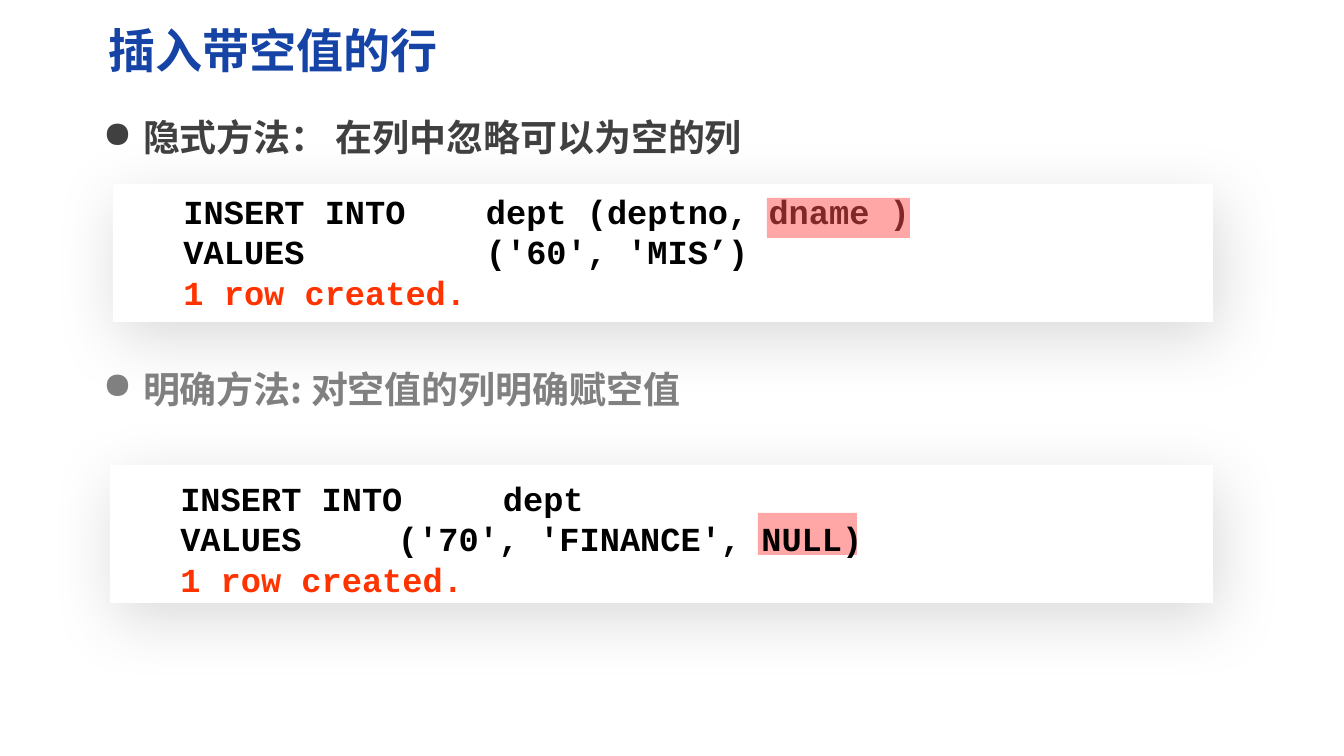
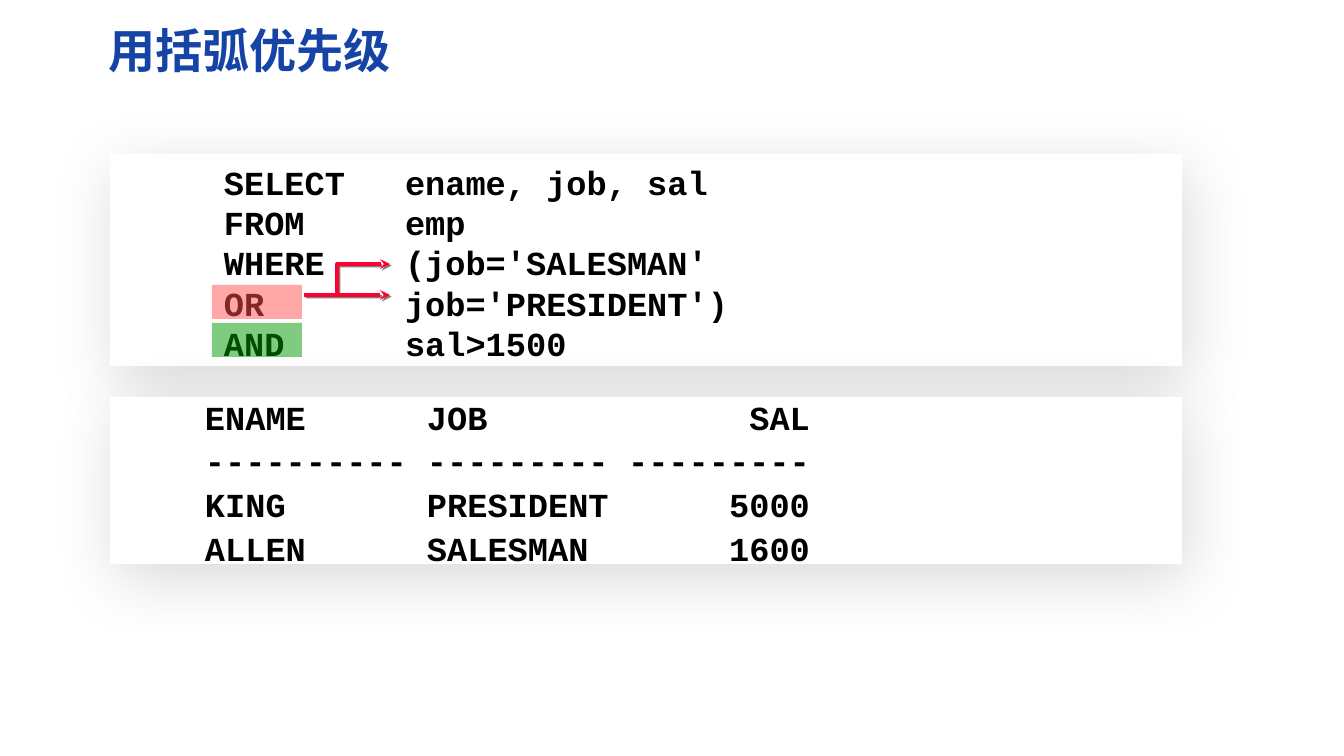
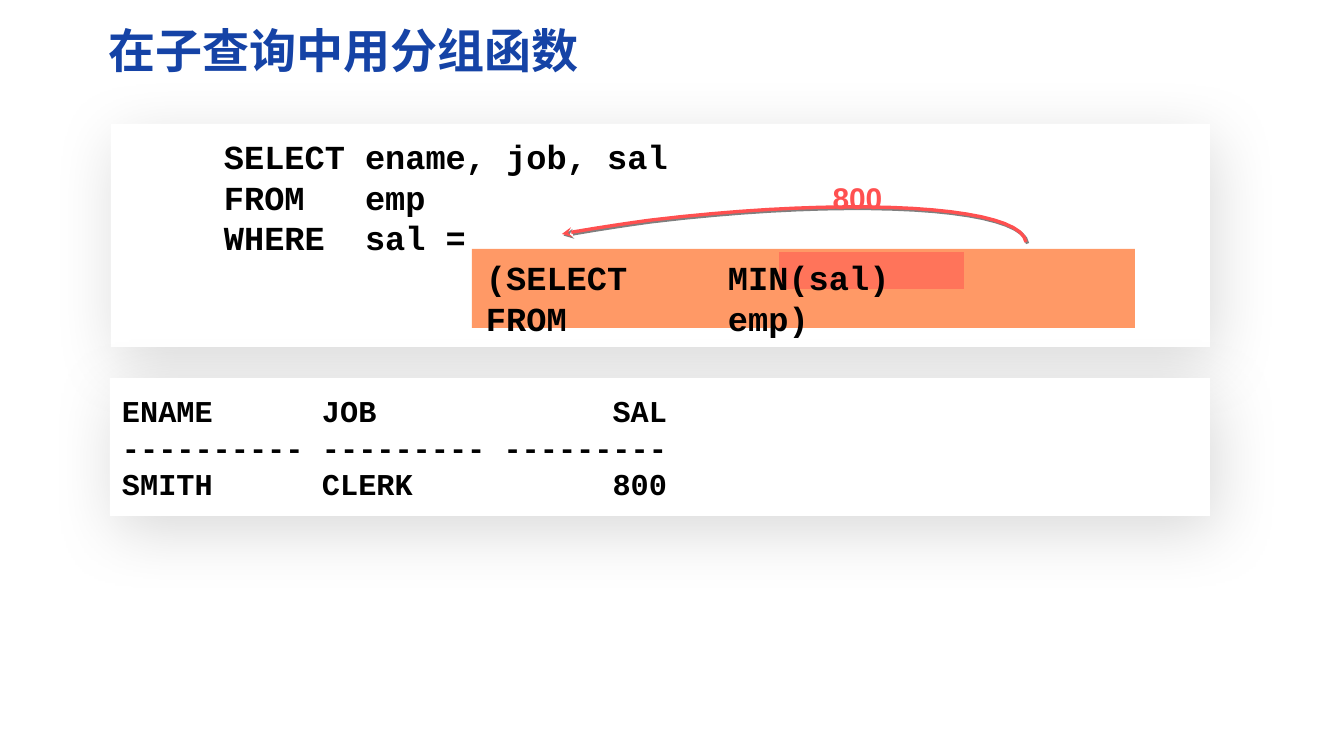
from lxml import etree
from pptx import Presentation
from pptx import util as u
from pptx.dml.color import RGBColor
from pptx.enum import shapes, text
from pptx.oxml import ns

EMU_PER_PX = 7557
COLORS = {
    "title": "1543A6", "body": "404040", "muted": "808080", "code": "000000",
    "result": "FF3300", "card": "FFFFFF", "red": "FF5050", "green": "009900",
    "orange": "FF9966", "arrow": "FF0033", "shadow": "000000",
}
HEADING_FONT, CODE_FONT, LABEL_FONT = "Noto Sans CJK SC", "Courier New", "Arial"
CARD_SHADOW = (15, 40, 10, 70)
ARROW_SHADOW = (50, 0, 1.4, 45)
TEXT_INSETS = (13, 7, 13, 7)
CARD_INSETS = (12, 6, 12, 6)


def px(value):
    return u.Emu(round(value * EMU_PER_PX))


def rgb(name):
    return RGBColor.from_string(COLORS[name])


def add_xml(parent, tag, **attributes):
    return etree.SubElement(parent, ns.qn(tag), {key: str(value) for key, value in attributes.items()})


def bezier(start, first, second, end, steps=20):
    for step in range(1, steps + 1):
        t = step / steps
        weights = ((1 - t) ** 3, 3 * t * (1 - t) ** 2, 3 * t * t * (1 - t), t ** 3)
        yield tuple(sum(w * point[axis] for w, point in zip(weights, (start, first, second, end)))
                    for axis in (0, 1))


class Slides:
    def __init__(self):
        self.deck = Presentation()
        self.deck.slide_width, self.deck.slide_height = px(1344), px(756)
        self.page = None

    def new_page(self, title):
        self.page = self.deck.slides.add_slide(self.deck.slide_layouts[5])
        box = self.page.shapes.title
        box.left, box.top, box.width, box.height = map(px, (96, 15, 1187, 69))
        self.frame(box)
        self.fill_text(box, [(title, "title")], HEADING_FONT, 28)

    def frame(self, box, insets=TEXT_INSETS, anchor=text.MSO_ANCHOR.MIDDLE):
        frame = box.text_frame
        frame.word_wrap = True
        frame.auto_size = text.MSO_AUTO_SIZE.NONE
        frame.vertical_anchor = anchor
        frame.margin_left, frame.margin_top, frame.margin_right, frame.margin_bottom = map(px, insets)

    def fill_text(self, box, lines, font, size, tabs=(), align=text.PP_ALIGN.LEFT):
        for index, (words, color) in enumerate(lines):
            para = box.text_frame.paragraphs[0] if index == 0 else box.text_frame.add_paragraph()
            para.alignment = align
            if tabs:
                stops = add_xml(para._p.get_or_add_pPr(), "a:tabLst")
                for position, side in tabs:
                    add_xml(stops, "a:tab", pos=px(position), algn=side)
            span = para.add_run()
            span.text = words
            span.font.name, span.font.size, span.font.bold = font, u.Pt(size), True
            span.font.color.rgb = rgb(color)
            add_xml(span._r.get_or_add_rPr(), "a:ea", typeface=font)

    def text_box(self, *place):
        return self.page.shapes.add_textbox(*map(px, place))

    def bullets(self, place, lines, gap):
        box = self.text_box(*place)
        self.frame(box, CARD_INSETS, text.MSO_ANCHOR.TOP)
        self.fill_text(box, lines, HEADING_FONT, 22)
        for index, para in enumerate(box.text_frame.paragraphs):
            properties = para._p.get_or_add_pPr()
            properties.set("marL", str(px(40)))
            properties.set("indent", str(px(-40)))
            add_xml(properties, "a:buChar", char="●")
            if index:
                para.space_before = u.Pt(gap)

    def code(self, place, lines, tabs, result=None):
        box = self.text_box(*place)
        self.frame(box)
        rows = [(line, "code") for line in lines]
        if result:
            rows.append((result, "result"))
        self.fill_text(box, rows, CODE_FONT, 20, [(stop, "l") for stop in tabs])

    def label(self, place, words, color):
        box = self.text_box(*place)
        self.frame(box, (0, 0, 0, 0))
        self.fill_text(box, [(words, color)], LABEL_FONT, 17.8, align=text.PP_ALIGN.CENTER)

    def effects(self, shape, shadow=None):
        effects = add_xml(shape._element.spPr, "a:effectLst")
        if shadow:
            opacity, blur, distance, angle = shadow
            outer = add_xml(effects, "a:outerShdw", blurRad=u.Pt(blur), dist=u.Pt(distance),
                            dir=angle * 60000, algn="tl", rotWithShape=0)
            tint = add_xml(outer, "a:srgbClr", val=COLORS["shadow"])
            add_xml(tint, "a:alpha", val=opacity * 1000)

    def block(self, place, color, opacity=100, shadow=None):
        shape = self.page.shapes.add_shape(shapes.MSO_SHAPE.RECTANGLE, *map(px, place))
        shape.fill.solid()
        shape.fill.fore_color.rgb = rgb(color)
        shape.line.fill.background()
        if opacity < 100:
            tint = shape._element.spPr.find(".//" + ns.qn("a:srgbClr"))
            add_xml(tint, "a:alpha", val=opacity * 1000)
        self.effects(shape, shadow)
        return shape

    def card(self, *place):
        return self.block(place, "card", shadow=CARD_SHADOW)

    def highlight(self, place, color="red"):
        self.block(place, color, opacity=50)

    def listing(self, place, rows, size, tabs, indent=0, spacing=None):
        box = self.card(*place)
        left, *others = CARD_INSETS
        self.frame(box, (left + indent, *others))
        self.fill_text(box, [("\t".join(row), "code") for row in rows], CODE_FONT, size,
                       list(zip(tabs, "lr")))
        if spacing:
            for para in box.text_frame.paragraphs:
                para.line_spacing = u.Pt(spacing)

    def finish_arrow(self, shape, color):
        shape.line.color.rgb = rgb(color)
        shape.line.width = u.Pt(2)
        add_xml(shape._element.spPr.get_or_add_ln(), "a:tailEnd", type="stealth")
        self.effects(shape, ARROW_SHADOW)

    def arrow(self, start, end, color):
        line = self.page.shapes.add_connector(shapes.MSO_CONNECTOR.STRAIGHT, *map(px, start + end))
        self.finish_arrow(line, color)

    def bent_arrow(self, points, color):
        start, *rest = [tuple(map(px, point)) for point in points]
        builder = self.page.shapes.build_freeform(*start)
        builder.add_line_segments(rest, close=False)
        shape = builder.convert_to_shape()
        shape.fill.background()
        self.finish_arrow(shape, color)


HEADER = ("ENAME", "JOB", "SAL")
RULE = ("-" * 10, "-" * 9, "-" * 9)


def null_rows(slides):
    slides.new_page("插入带空值的行")
    slides.card(113, 184, 1100, 138)
    slides.card(110, 465, 1103, 138)
    slides.bullets((91, 109, 1191, 330), [
        ("隐式方法： 在列中忽略可以为空的列", "body"),
        ("明确方法: 对空值的列明确赋空值", "muted"),
    ], gap=123)
    slides.code((110, 194, 1073, 115), [
        "   INSERT INTO\tdept (deptno, dname )",
        "   VALUES\t('60', 'MIS’)",
    ], [363], "   1 row created.")
    slides.highlight((767, 198, 143, 40))
    slides.highlight((758, 513, 99, 42))
    slides.code((127, 454, 1073, 169), [
        "  INSERT INTO\tdept",
        "  VALUES\t('70', 'FINANCE', NULL)",
    ], [258, 363], "  1 row created.")


def parentheses(slides):
    slides.new_page("用括弧优先级")
    slides.card(110, 154, 1072, 212)
    slides.code((110, 171, 1076, 183), [
        "     SELECT\tename, job, sal",
        "     FROM\temp",
        "     WHERE\t(job='SALESMAN'",
        "     OR\tjob='PRESIDENT')",
        "     AND\tsal>1500",
    ], [282])
    slides.listing((110, 397, 1072, 167), [
        HEADER, RULE, ("KING", "PRESIDENT", "5000"), ("ALLEN", "SALESMAN", "1600"),
    ], 20, (222, 605), indent=83, spacing=26)
    slides.highlight((212, 285, 90, 34))
    slides.bent_arrow([(337, 293), (337, 264), (390, 264)], "arrow")
    slides.arrow((304, 295), (390, 295), "arrow")
    slides.highlight((212, 323, 90, 34), "green")


def subquery(slides):
    slides.new_page("在子查询中用分组函数")
    slides.card(111, 124, 1099, 223)
    slides.block((472, 249, 663, 79), "orange")
    slides.highlight((779, 252, 185, 37))
    tail, middle, tip = (1026, 242), (652, 220), (562, 234)
    slides.bent_arrow([tail, *bezier(tail, (1021, 206), (854, 196), middle),
                       *bezier(middle, (622, 224), (590, 229), tip)], "red")
    slides.label((819, 171, 77, 53), "800", "red")
    slides.listing((110, 378, 1100, 138), [
        HEADER, RULE, ("SMITH", "CLERK", "800"),
    ], 18, (200, 545))
    slides.code((110, 138, 1074, 198), [
        "     SELECT\tename, job, sal",
        "     FROM\temp",
        "     WHERE\tsal =",
        "\t\t(SELECT\tMIN(sal)",
        "\t\tFROM\temp)",
    ], [242, 363, 605])


def main():
    slides = Slides()
    for build in (null_rows, parentheses, subquery):
        build(slides)
    slides.deck.save("out.pptx")


if __name__ == "__main__":
    main()
